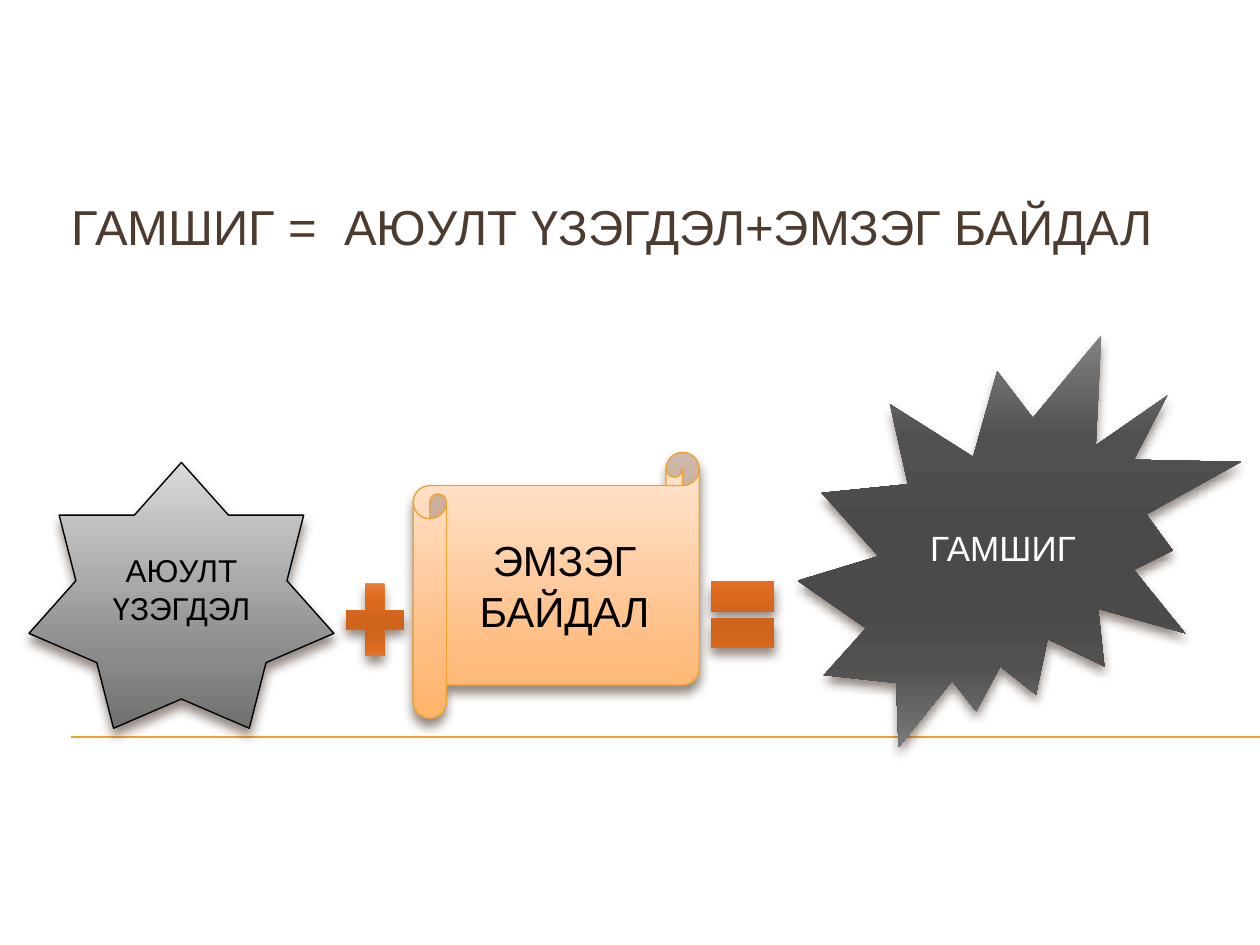
from dataclasses import dataclass

from lxml import etree
from pptx import Presentation
from pptx.dml.color import RGBColor
from pptx.enum.shapes import MSO_CONNECTOR, MSO_SHAPE
from pptx.enum.text import MSO_ANCHOR, PP_ALIGN
from pptx.oxml.ns import qn
from pptx.shapes.autoshape import Shape
from pptx.slide import Slide
from pptx.text.text import TextFrame
from pptx.util import Inches, Pt

STRAIGHT = MSO_CONNECTOR.STRAIGHT
STAR, SEAL = MSO_SHAPE.STAR_7_POINT, MSO_SHAPE.EXPLOSION2
SCROLL = MSO_SHAPE.HORIZONTAL_SCROLL
PLUS, EQUAL = MSO_SHAPE.MATH_PLUS, MSO_SHAPE.MATH_EQUAL
LEFT, CENTER = PP_ALIGN.LEFT, PP_ALIGN.CENTER
MIDDLE = MSO_ANCHOR.MIDDLE

FONT = "Arial"
BROWN = RGBColor(0x4E, 0x3B, 0x30)
AMBER = RGBColor(0xF0, 0xA2, 0x2E)
BLACK = RGBColor(0, 0, 0)
WHITE = RGBColor(0xFF, 0xFF, 0xFF)

Gradient = tuple[tuple[int, RGBColor], ...]


def gradient(positions: tuple[int, ...], colors: str) -> Gradient:
    """Pair stop positions in percent with space-separated hex colours."""
    return tuple(zip(positions, map(RGBColor.from_string, colors.split())))


SOFT_STOPS = (0, 72, 100)
GLOSSY_STOPS = (0, 25, 50, 65, 80, 100)
GRAY = gradient(SOFT_STOPS, "DADADA 8C8C8C 707070")
PEACH = gradient(SOFT_STOPS, "FFE7D7 FFBE84 FFB468")
ORANGE = gradient(GLOSSY_STOPS, "EE8F5B E06D21 D0641C D0641C DE6C20 E88852")
CHARCOAL = gradient(GLOSSY_STOPS, "828282 505050 4A4A4A 4A4A4A 505050 7A7A7A")


@dataclass(frozen=True)
class Term:
    """One operand or operator of the disaster equation."""
    preset: MSO_SHAPE
    box: tuple[float, float, float, float]
    fill: Gradient
    outline: RGBColor | None = None
    label: str = ""
    size: int = 18
    color: RGBColor = BLACK
    adjustments: tuple[float, ...] = ()


EQUATION = (
    Term(STAR, (0.23, 3.67, 2.42, 2.11), GRAY, BLACK, "АЮУЛТ ҮЗЭГДЭЛ"),
    Term(PLUS, (2.66, 4.53, 0.63, 0.78), ORANGE),
    Term(SCROLL, (3.28, 3.59, 2.27, 2.11), PEACH, AMBER, "ЭМЗЭГ БАЙДАЛ", 24),
    Term(EQUAL, (5.55, 4.38, 0.69, 1), ORANGE, adjustments=(0.235, 0.056)),
    Term(SEAL, (6.33, 2.66, 3.52, 3.27), CHARCOAL, None, "ГАМШИГ", 20, WHITE),
)


def write_text(frame: TextFrame, text: str, *, size: int, color: RGBColor,
               align: PP_ALIGN) -> None:
    frame.word_wrap = True
    frame.vertical_anchor = MIDDLE
    paragraph = frame.paragraphs[0]
    paragraph.alignment = align
    run = paragraph.add_run()
    run.text = text
    run.font.name = FONT
    run.font.size = Pt(size)
    run.font.color.rgb = color


def add_color(parent: etree._Element, color: RGBColor) -> etree._Element:
    return etree.SubElement(parent, qn("a:srgbClr"), val=str(color))


def fill_downwards(shape: Shape, stops: Gradient) -> None:
    shape.fill.gradient()
    shape.fill.gradient_angle = 270
    stop_list = shape._element.spPr.find(qn("a:gradFill")).find(qn("a:gsLst"))
    for default_stop in list(stop_list):
        stop_list.remove(default_stop)
    for position, color in stops:
        stop = etree.SubElement(stop_list, qn("a:gs"), pos=str(position * 1000))
        add_color(stop, color)


def drop_shadow(shape: Shape) -> None:
    shape.shadow.inherit = False
    effects = shape._element.spPr.find(qn("a:effectLst"))
    shadow = etree.SubElement(
        effects, qn("a:outerShdw"), blurRad=str(Pt(6)), dist=str(Pt(4)),
        dir=str(90 * 60000), rotWithShape="0")
    etree.SubElement(add_color(shadow, BROWN), qn("a:alpha"), val="60000")


def draw_term(slide: Slide, term: Term) -> None:
    shape = slide.shapes.add_shape(term.preset, *map(Inches, term.box))
    for index, value in enumerate(term.adjustments):
        shape.adjustments[index] = value
    fill_downwards(shape, term.fill)
    if term.outline is None:
        shape.line.fill.background()
    else:
        shape.line.color.rgb = term.outline
        shape.line.width = Pt(0.79)
    drop_shadow(shape)
    if term.label:
        write_text(shape.text_frame, term.label, size=term.size,
                   color=term.color, align=CENTER)


def draw_baseline(slide: Slide) -> None:
    baseline = slide.shapes.add_connector(
        STRAIGHT, Inches(0.56), Inches(5.85), Inches(10), Inches(5.85))
    baseline.line.color.rgb = AMBER
    baseline.line.width = Pt(0.75)
    etree.SubElement(baseline._element.spPr, qn("a:effectLst"))


def main() -> None:
    presentation = Presentation()
    presentation.slide_width, presentation.slide_height = Inches(10), Inches(7.5)
    slide = presentation.slides.add_slide(presentation.slide_layouts[0])
    subtitle = slide.placeholders[1]._element
    subtitle.getparent().remove(subtitle)

    draw_baseline(slide)
    title = slide.shapes.title
    title.left, title.top = Inches(0.47), Inches(1.48)
    title.width, title.height = Inches(8.83), Inches(0.63)
    write_text(title.text_frame, "ГАМШИГ =  АЮУЛТ ҮЗЭГДЭЛ+ЭМЗЭГ БАЙДАЛ",
               size=28, color=BROWN, align=LEFT)
    for term in EQUATION:
        draw_term(slide, term)
    presentation.save("out.pptx")


if __name__ == "__main__":
    main()
